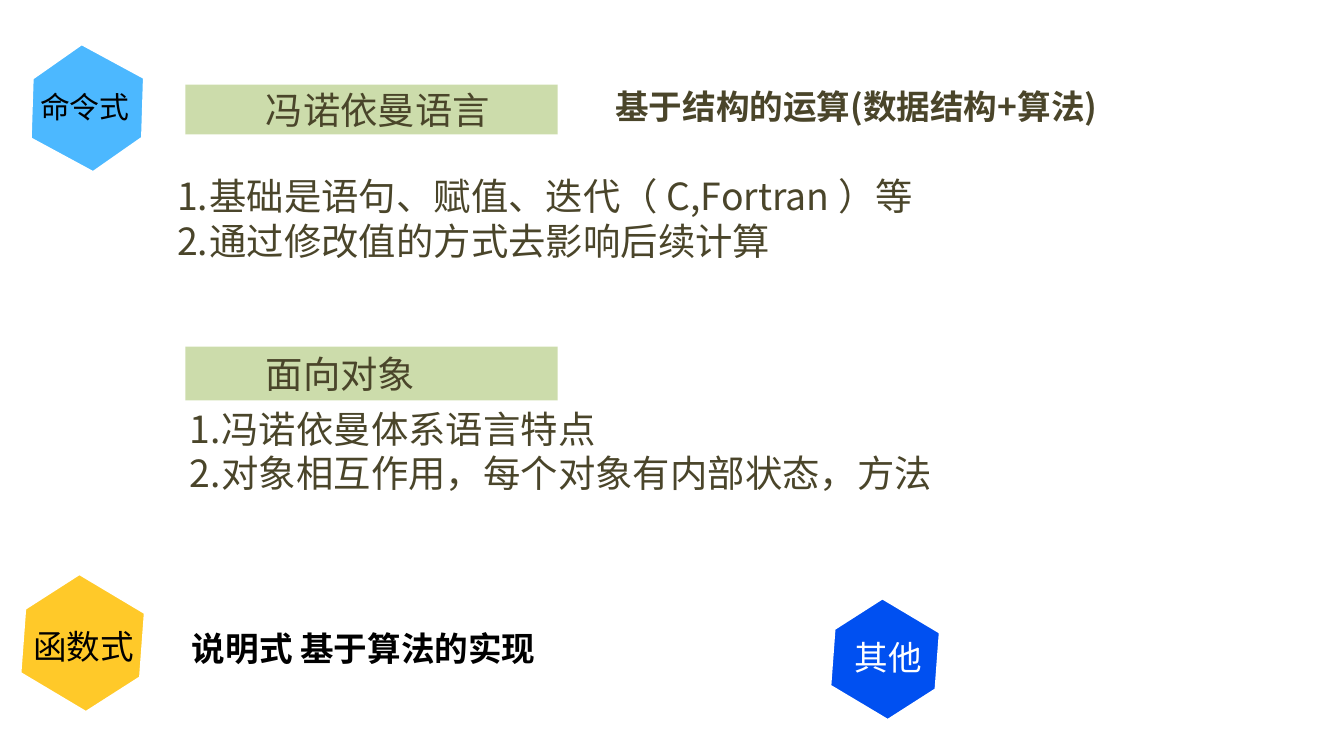
from lxml import etree
from pptx import Presentation
from pptx import util as u
from pptx.dml.color import RGBColor
from pptx.enum import shapes, text
from pptx.oxml import ns

FONT = "Noto Sans CJK SC"
COLORS = {
    "yellow": "FFC929",
    "sky": "4CB8FF",
    "blue": "0050F1",
    "green": "9BBB59",
    "olive": "4A452A",
    "black": "000000",
    "white": "FFFFFF",
}


def rgb(name):
    return RGBColor.from_string(COLORS[name])


def add_filled_shape(slide, kind, box, fill):
    shape = slide.shapes.add_shape(kind, *map(u.Inches, box))
    shape.shadow.inherit = False
    shape.fill.solid()
    shape.fill.fore_color.rgb = rgb(fill)
    return shape


def add_run(paragraph, words, size, color, bold=False):
    paragraph.alignment = text.PP_ALIGN.LEFT
    run = paragraph.add_run()
    run.text = words
    font = run.font
    font.name, font.size, font.bold = FONT, u.Pt(size), bold
    font.color.rgb = rgb(color)
    # East Asian typeface for the Chinese characters
    properties = run._r.get_or_add_rPr()
    latin = properties.find(ns.qn("a:latin"))
    east_asian = etree.Element(ns.qn("a:ea"), typeface=FONT)
    latin.addnext(east_asian)


def set_indent(paragraph, margin, first_line=0):
    properties = paragraph._p.get_or_add_pPr()
    properties.set("marL", str(u.Inches(margin)))
    properties.set("indent", str(u.Inches(first_line)))
    return properties


def add_text_box(slide, box):
    frame = slide.shapes.add_textbox(*map(u.Inches, box)).text_frame
    frame.word_wrap = True
    return frame


def add_hexagon(slide, box, rotation, fill):
    shape = add_filled_shape(slide, shapes.MSO_SHAPE.HEXAGON, box, fill)
    shape.rotation = rotation
    shape.line.color.rgb = rgb("white")
    shape.line.width = u.Pt(2)


def add_label(slide, box, words, size, color, bold=False):
    frame = add_text_box(slide, box)
    add_run(frame.paragraphs[0], words, size, color, bold)


def add_heading_bar(slide, top, height, words):
    box = (1.38, top, 2.77, height)
    shape = add_filled_shape(slide, shapes.MSO_SHAPE.RECTANGLE, box, "green")
    shape.line.fill.background()
    # Half-transparent fill
    color = shape._element.spPr.find(ns.qn("a:solidFill"))[0]
    etree.SubElement(color, ns.qn("a:alpha"), val="50000")
    frame = shape.text_frame
    frame.vertical_anchor = text.MSO_ANCHOR.MIDDLE
    paragraph = frame.paragraphs[0]
    paragraph.level = 1
    set_indent(paragraph, 0.5)
    add_run(paragraph, words, 20, "olive")


def add_numbered_list(slide, box, items):
    frame = add_text_box(slide, box)
    for index, item in enumerate(items):
        paragraph = frame.add_paragraph() if index else frame.paragraphs[0]
        paragraph.level = 2
        properties = set_indent(paragraph, 1, -0.24)
        etree.SubElement(properties, ns.qn("a:buFont"), typeface=FONT)
        etree.SubElement(properties, ns.qn("a:buAutoNum"), type="arabicPeriod")
        add_run(paragraph, item, 20, "olive")


def main():
    # Widescreen slide, 16:9
    presentation = Presentation()
    presentation.slide_width = u.Inches(10)
    presentation.slide_height = u.Inches(10 * 9 / 16)
    slide = presentation.slides.add_slide(presentation.slide_layouts[6])

    # Paradigm badges
    add_hexagon(slide, (0.11, 4.35, 1.01, 0.87), 30.8, "yellow")
    add_hexagon(slide, (0.18, 0.4, 0.94, 0.81), 28.4, "sky")
    add_label(slide, (0.15, 4.61, 1.15, 0.4), "函数式", 18, "black")
    add_label(slide, (0.2, 0.61, 1.06, 0.37), "命令式", 16, "black")
    add_hexagon(slide, (6.14, 4.52, 0.89, 0.77), 30.8, "blue")

    # Feature lists and the functional summary
    add_numbered_list(slide, (0.46, 1.24, 8.64, 0.77), [
        "基础是语句、赋值、迭代（ C,Fortran ）等",
        "通过修改值的方式去影响后续计算",
    ])
    add_label(slide, (1.33, 4.62, 2.8, 0.4), "说明式 基于算法的实现",
              18, "black", bold=True)
    add_numbered_list(slide, (0.55, 2.97, 9.72, 0.77), [
        "冯诺依曼体系语言特点",
        "对象相互作用，每个对象有内部状态，方法",
    ])

    # Headings
    add_heading_bar(slide, 0.63, 0.37, "冯诺依曼语言")
    add_label(slide, (4.48, 0.59, 3.87, 0.4), "基于结构的运算(数据结构+算法)",
              18, "olive", bold=True)
    add_heading_bar(slide, 2.58, 0.4, "面向对象")
    add_label(slide, (6.26, 4.69, 1.15, 0.4), "其他", 18, "white")

    presentation.save("out.pptx")


if __name__ == "__main__":
    main()
